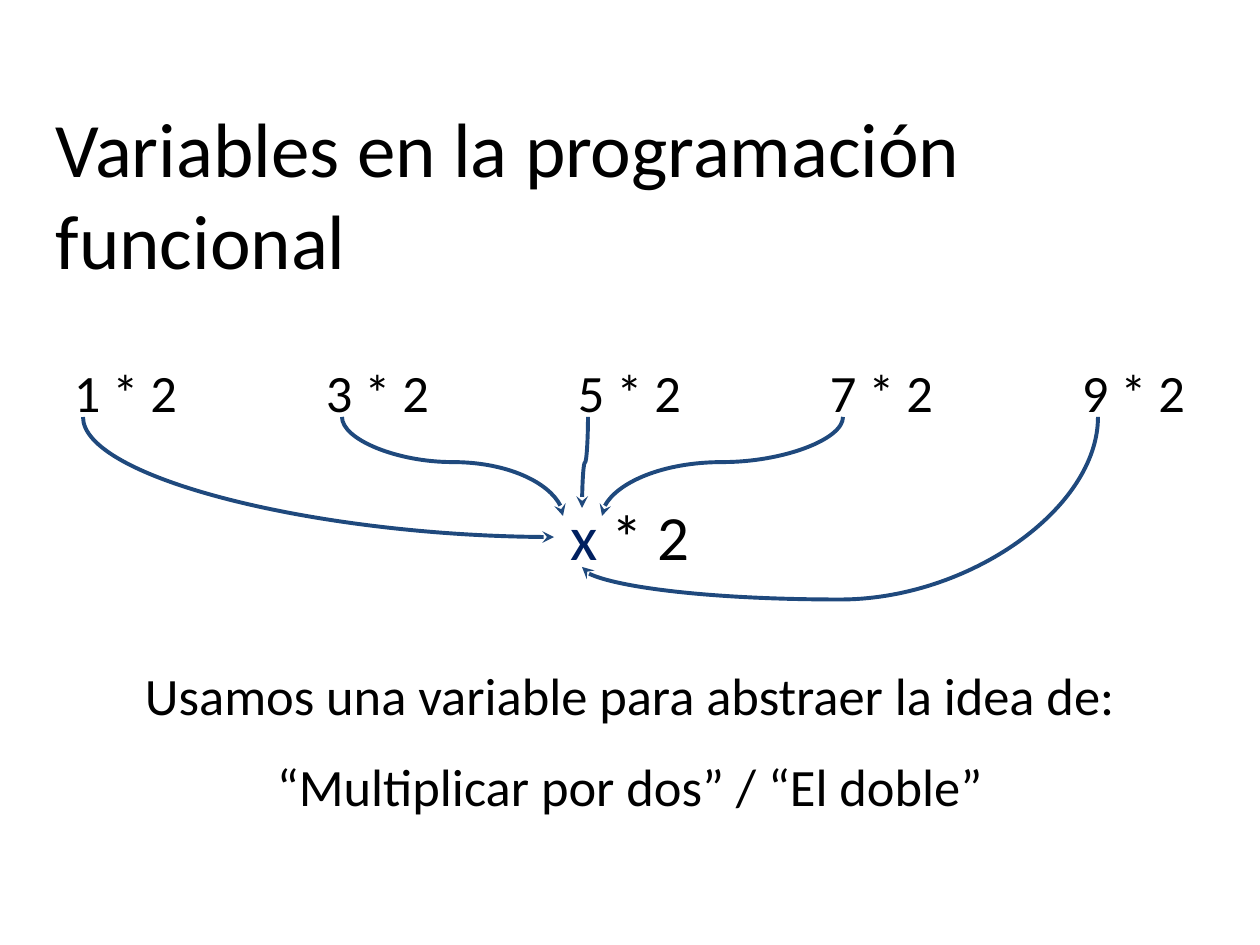
from typing import NamedTuple, Optional

from lxml.etree import SubElement
from pptx import Presentation
from pptx.dml.color import RGBColor
from pptx.enum.shapes import MSO_CONNECTOR
from pptx.enum.text import MSO_ANCHOR, MSO_AUTO_SIZE, PP_ALIGN as Align
from pptx.oxml.ns import qn
from pptx.util import Emu, Pt

PX = 914400 / 126
FONT = "Calibri"
BLACK = RGBColor(0x00, 0x00, 0x00)
NAVY = RGBColor(0x00, 0x20, 0x60)
BLUE = RGBColor(0x1F, 0x49, 0x7D)


class Box(NamedTuple):
    left: int
    top: int
    width: int
    height: int


class Arrow(NamedTuple):
    start_x: int
    end_x: int
    end_y: int
    bend: Optional[int]  # thousandths of a percent; None means a single bend


TITLE_BOX = Box(43, 88, 1174, 79)
ABSTRACTION_BOX = Box(507, 485, 246, 116)
IDEA_BOX = Box(43, 650, 1174, 189)

EXAMPLES = (1, 3, 5, 7, 9)
EXAMPLE_BOX = Box(43, 347, 165, 79)
EXAMPLE_STEP = 252

ARROW_TOP = 417
ARROWS = (
    Arrow(83, 554, 537, None),
    Arrow(342, 563, 516, 45600),
    Arrow(588, 582, 508, 50000),
    Arrow(843, 602, 516, 45600),
    Arrow(1098, 582, 567, 121700),
)


def px(length: float) -> Emu:
    return Emu(round(length * PX))


def place(shape, box: Box) -> None:
    shape.left, shape.top, shape.width, shape.height = map(px, box)


def set_text(shape, text: str, size: int, align: Align, after: int = 0) -> None:
    frame = shape.text_frame
    frame.text = text
    frame.word_wrap = True
    frame.auto_size = MSO_AUTO_SIZE.NONE
    frame.vertical_anchor = MSO_ANCHOR.TOP
    frame.margin_left = frame.margin_right = Pt(7.2)
    frame.margin_top = frame.margin_bottom = Pt(7.2)
    for paragraph in frame.paragraphs:
        paragraph.alignment = align
        paragraph.space_before = Pt(0)
        paragraph.space_after = Pt(after)
        for run in paragraph.runs:
            run.font.name = FONT
            run.font.size = Pt(size)
            run.font.color.rgb = BLACK


def add_expression(slide, box: Box, text: str, size: int):
    expression = slide.shapes.add_textbox(*map(px, box))
    set_text(expression, text, size, Align.CENTER, after=16)
    return expression


def add_arrow(slide, arrow: Arrow) -> None:
    """Draw a curve that leaves its example downwards (a quarter turn)."""
    run, drop = arrow.end_x - arrow.start_x, arrow.end_y - ARROW_TOP
    middle_x = (arrow.start_x + arrow.end_x) / 2
    middle_y = (ARROW_TOP + arrow.end_y) / 2
    curve = slide.shapes.add_connector(MSO_CONNECTOR.CURVE, 0, 0, 0, 0)
    curve.left, curve.top = px(middle_x - drop / 2), px(middle_y - abs(run) / 2)
    curve.width, curve.height = px(drop), px(abs(run))
    curve.line.color.rgb = BLUE
    curve.line.width = Pt(2.25)

    properties = curve._element.spPr
    transform = properties.find(qn("a:xfrm"))
    transform.set("rot", "5400000")
    if run > 0:
        transform.set("flipV", "1")
    geometry = properties.find(qn("a:prstGeom"))
    if arrow.bend is None:
        geometry.set("prst", "curvedConnector2")
    else:
        guides = geometry.find(qn("a:avLst"))
        if guides is None:
            guides = SubElement(geometry, qn("a:avLst"))
        SubElement(guides, qn("a:gd"), name="adj1", fmla=f"val {arrow.bend}")
    SubElement(properties.find(qn("a:ln")), qn("a:tailEnd"), type="stealth")
    SubElement(properties, qn("a:effectLst"))


def main() -> None:
    deck = Presentation()
    deck.slide_width, deck.slide_height = px(1260), px(945)
    slide = deck.slides.add_slide(deck.slide_layouts[1])

    # Title
    title = slide.shapes.title
    place(title, TITLE_BOX)
    set_text(title, "Variables en la programación funcional", 44, Align.LEFT)

    # Row of concrete examples
    for column, number in enumerate(EXAMPLES):
        box = EXAMPLE_BOX._replace(left=EXAMPLE_BOX.left + column * EXAMPLE_STEP)
        add_expression(slide, box, f"{number} * 2", 30)

    # Expression with the variable
    abstraction = add_expression(slide, ABSTRACTION_BOX, "x", 36)
    paragraph = abstraction.text_frame.paragraphs[0]
    variable, factor = paragraph.runs[0], paragraph.add_run()
    factor.text = " * 2"
    factor.font.name, factor.font.size = FONT, Pt(36)
    factor.font.color.rgb = BLACK
    variable.font.color.rgb = NAVY

    # Arrows from the examples to the variable
    for arrow in ARROWS:
        add_arrow(slide, arrow)

    # Idea behind the variable
    idea = slide.placeholders[1]
    place(idea, IDEA_BOX)
    set_text(
        idea,
        "Usamos una variable para abstraer la idea de:\n"
        "“Multiplicar por dos” / “El doble”",
        30,
        Align.CENTER,
    )
    for paragraph in idea.text_frame.paragraphs:
        layout = paragraph._p.get_or_add_pPr()
        layout.set("marL", "0")
        layout.set("indent", "0")
        SubElement(layout, qn("a:buNone"))
    paragraph.space_before = paragraph.space_after = Pt(16)

    deck.save("out.pptx")


if __name__ == "__main__":
    main()
